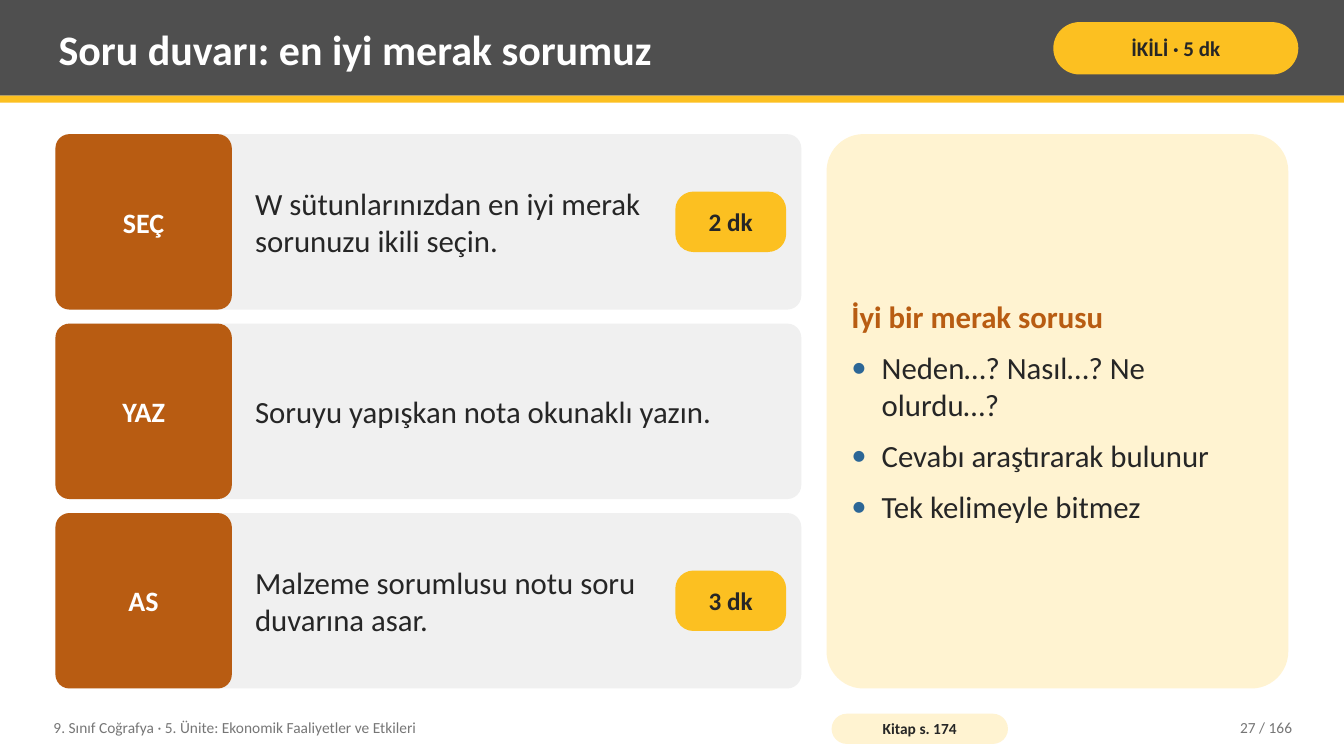
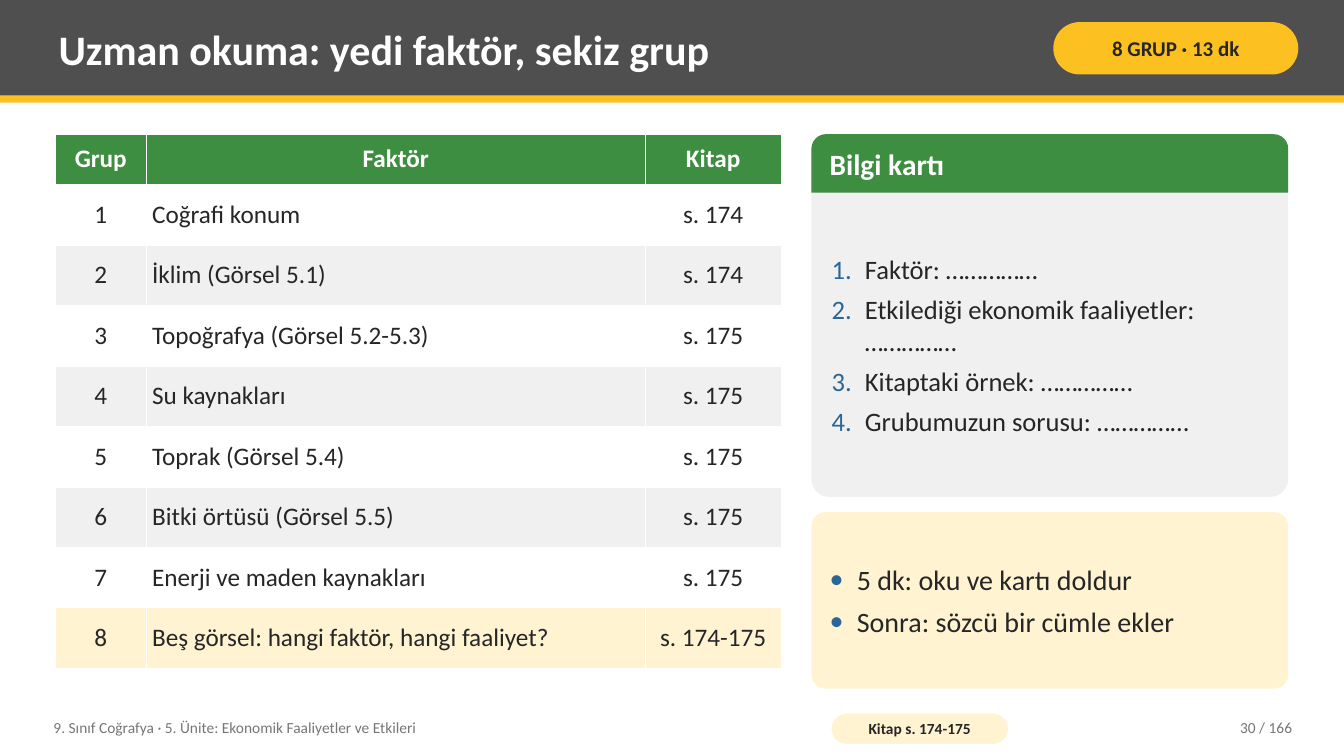
from lxml.etree import SubElement
from pptx import Presentation
from pptx.dml.color import RGBColor
from pptx.enum.shapes import MSO_SHAPE as Shape
from pptx.enum.text import MSO_ANCHOR as Anchor, PP_ALIGN as Align
from pptx.oxml.ns import qn
from pptx.util import Pt

COLORS = {
    "white": "FFFFFF", "ink": "262626", "muted": "767676", "band": "4F4F4F",
    "yellow": "FCC021", "cream": "FFF3D1", "gray": "F0F0F0",
    "orange": "B85C12", "green": "3E8E41", "blue": "2C6696",
}
FONT = "Calibri"
WIDTH, HEIGHT = 960, 540
LEFT, RIGHT = 39.6, 920.2
TOP, BODY = 95.8, 396
GAP = 10
COURSE = "9. Sınıf Coğrafya · 5. Ünite: Ekonomik Faaliyetler ve Etkileri"
PAGE_COUNT = 166
TEXT_INSETS = (5.8, 2.9)
CARD_INSETS = (10.1, 5.8)


class LessonDeck:
    def __init__(self):
        self.deck = Presentation()
        self.deck.slide_width, self.deck.slide_height = Pt(WIDTH), Pt(HEIGHT)
        self.page = None

    def color(self, name):
        return RGBColor.from_string(COLORS[name])

    def start_page(self, title, activity, source, number):
        """Add a slide with its title band, activity pill and footer."""
        self.page = self.deck.slides.add_slide(self.deck.slide_layouts[6])
        self.block(0, 0, WIDTH, 68.4, "band", kind=Shape.RECTANGLE)
        self.block(0, 68.4, WIDTH, 5, "yellow", kind=Shape.RECTANGLE)
        self.text(36, 5, 702, 59, title, size=30, color="white", bold=True)
        self.label(752.4, 15.8, 175, 37.4, "yellow", 0.5, activity, 15)
        self.text(32.4, 506.9, 547.2, 25.9, COURSE, size=11, color="muted")
        self.label(594, 509.8, 126, 21.6, "cream", 0.5, source, 11)
        self.text(813.6, 506.9, 115.2, 25.9, f"{number} / {PAGE_COUNT}",
                  size=11, color="muted", align=Align.RIGHT)

    def block(self, left, top, width, height, fill, *adjustments,
              kind=Shape.ROUNDED_RECTANGLE):
        shape = self.page.shapes.add_shape(
            kind, Pt(left), Pt(top), Pt(width), Pt(height))
        shape.shadow.inherit = False
        shape.fill.solid()
        shape.fill.fore_color.rgb = self.color(fill)
        shape.line.fill.background()
        for index, value in enumerate(adjustments):
            shape.adjustments[index] = value
        return shape

    def label(self, left, top, width, height, fill, rounding, text, size, color="ink"):
        """Add a rounded block with one bold centred line."""
        shape = self.block(left, top, width, height, fill, rounding)
        self.paragraph(self.frame(shape, (2.9, 0)), text, size=size,
                       color=color, bold=True, align=Align.CENTER)

    def box(self, left, top, width, height):
        return self.page.shapes.add_textbox(Pt(left), Pt(top), Pt(width), Pt(height))

    def text(self, left, top, width, height, text, **style):
        box = self.box(left, top, width, height)
        self.paragraph(self.frame(box, TEXT_INSETS), text, **style)

    def frame(self, shape, insets):
        frame = shape.text_frame
        frame.word_wrap = True
        frame.vertical_anchor = Anchor.MIDDLE
        frame.margin_left = frame.margin_right = Pt(insets[0])
        frame.margin_top = frame.margin_bottom = Pt(insets[1])
        return frame

    def paragraph(self, frame, text, size, color="ink", bold=False, align=Align.LEFT):
        """Fill the empty first paragraph, or append another one."""
        para = frame.paragraphs[0]
        if para.runs:
            para = frame.add_paragraph()
        self.style(para, text, size, color, bold, align)
        return para

    def style(self, para, text, size, color, bold, align):
        para.alignment = align
        font = para.font
        font.name, font.size, font.bold = FONT, Pt(size), bold
        font.color.rgb = self.color(color)
        span = para.add_run()
        span.text = text
        return span

    def items(self, frame, texts, size, indent, gap, numbered=False):
        """Append a list with blue bullets or bold blue numbers."""
        for text in texts:
            first = not frame.paragraphs[0].runs
            para = frame.paragraphs[0] if first else frame.add_paragraph()
            if not first:
                para.space_before = Pt(gap)
            props = para._p.get_or_add_pPr()
            props.set("marL", str(Pt(indent)))
            props.set("indent", str(-Pt(indent)))
            marker_color = SubElement(props, qn("a:buClr"))
            SubElement(marker_color, qn("a:srgbClr"), val=COLORS["blue"])
            SubElement(props, qn("a:buFont"), typeface=FONT)
            if numbered:
                SubElement(props, qn("a:buAutoNum"), type="arabicPeriod")
            else:
                SubElement(props, qn("a:buChar"), char="•")
            span = self.style(para, text, size, "ink", True, Align.LEFT)
            span.font.bold = False

    def step(self, top, height, name, task, minutes):
        self.block(LEFT, top, 532.8, height, "gray", 0.08)
        self.label(LEFT, top, 126, height, "orange", 0.08, name, 20, "white")
        self.text(176.4, top, 291.6 if minutes else 388.8, height, task, size=22)
        if minutes:
            self.label(482.4, top + (height - 43.2) / 2, 79.2, 43.2,
                       "yellow", 0.3, minutes, 18)

    def table(self, left, top, widths, heights, rows):
        """Add a table with a green header, banded rows and a cream last row."""
        table = self.page.shapes.add_table(
            len(rows), len(widths), Pt(left), Pt(top),
            Pt(sum(widths)), Pt(sum(heights))).table
        table.horz_banding = False
        for column, width in zip(table.columns, widths):
            column.width = Pt(width)
        for index, (row, height, texts) in enumerate(zip(table.rows, heights, rows)):
            row.height = Pt(height)
            header = index == 0
            if header:
                fill = "green"
            elif index == len(rows) - 1:
                fill = "cream"
            else:
                fill = "white" if index % 2 else "gray"
            for column, (cell, text) in enumerate(zip(row.cells, texts)):
                centred = header or column != 1
                self.cell(cell, text, fill, header,
                          Align.CENTER if centred else Align.LEFT)

    def cell(self, cell, text, fill, header, align):
        props = cell._tc.get_or_add_tcPr()
        for side in ("a:lnL", "a:lnR", "a:lnT", "a:lnB"):
            line = SubElement(props, qn(side), w=str(Pt(0.96)))
            paint = SubElement(line, qn("a:solidFill"))
            SubElement(paint, qn("a:srgbClr"), val=COLORS["white"])
        cell.fill.solid()
        cell.fill.fore_color.rgb = self.color(fill)
        cell.vertical_anchor = Anchor.MIDDLE
        cell.margin_left = cell.margin_right = Pt(4.3)
        cell.margin_top = cell.margin_bottom = Pt(3.6)
        self.paragraph(cell.text_frame, text, size=18, bold=header, align=align,
                       color="white" if header else "ink")


def add_question_wall(lesson):
    lesson.start_page("Soru duvarı: en iyi merak sorumuz", "İKİLİ · 5 dk",
                      "Kitap s. 174", 27)
    steps = [
        ("SEÇ", "W sütunlarınızdan en iyi merak sorunuzu ikili seçin.", "2 dk"),
        ("YAZ", "Soruyu yapışkan nota okunaklı yazın.", None),
        ("AS", "Malzeme sorumlusu notu soru duvarına asar.", "3 dk"),
    ]
    height = (BODY - GAP * (len(steps) - 1)) / len(steps)
    for index, step in enumerate(steps):
        lesson.step(TOP + index * (height + GAP), height, *step)

    card_left = 590.4
    card = lesson.block(card_left, TOP, RIGHT - card_left, BODY, "cream", 0.08)
    frame = lesson.frame(card, CARD_INSETS)
    lesson.paragraph(frame, "İyi bir merak sorusu", size=22, color="orange", bold=True)
    lesson.items(frame, ["Neden…? Nasıl…? Ne olurdu…?", "Cevabı araştırarak bulunur",
                         "Tek kelimeyle bitmez"], size=22, indent=21.6, gap=10)


def add_expert_reading(lesson):
    lesson.start_page("Uzman okuma: yedi faktör, sekiz grup", "8 GRUP · 13 dk",
                      "Kitap s. 174-175", 30)
    factors = [
        ("Coğrafi konum", "s. 174"),
        ("İklim (Görsel 5.1)", "s. 174"),
        ("Topoğrafya (Görsel 5.2-5.3)", "s. 175"),
        ("Su kaynakları", "s. 175"),
        ("Toprak (Görsel 5.4)", "s. 175"),
        ("Bitki örtüsü (Görsel 5.5)", "s. 175"),
        ("Enerji ve maden kaynakları", "s. 175"),
        ("Beş görsel: hangi faktör, hangi faaliyet?", "s. 174-175"),
    ]
    rows = [("Grup", "Faktör", "Kitap")]
    rows += [(str(group), *factor) for group, factor in enumerate(factors, 1)]
    lesson.table(LEFT, TOP, [64.8, 356.4, 97.2], [36] + [43.2] * len(factors), rows)

    left = 579.6
    width = RIGHT - left
    card_height, header_height = 259.2, 41.8
    lesson.block(left, TOP, width, card_height, "gray", 0.05)
    lesson.block(left, TOP, width, header_height, "green", 0.25, 0,
                 kind=Shape.ROUND_2_SAME_RECTANGLE)
    lesson.text(left + 7.2, TOP, width - 14.4, header_height, "Bilgi kartı",
                size=21, color="white", bold=True)
    blank = "……………"
    box = lesson.box(left + 8.6, TOP + 47.5, width - 17.2, 206)
    lesson.items(lesson.frame(box, TEXT_INSETS),
                 [f"{prompt}: {blank}" for prompt in (
                     "Faktör", "Etkilediği ekonomik faaliyetler",
                     "Kitaptaki örnek", "Grubumuzun sorusu")],
                 size=19, indent=23.8, gap=6, numbered=True)

    tip_top = TOP + card_height + 10.8
    tip = lesson.block(left, tip_top, width, TOP + BODY - tip_top, "cream", 0.08)
    lesson.items(lesson.frame(tip, CARD_INSETS),
                 ["5 dk: oku ve kartı doldur", "Sonra: sözcü bir cümle ekler"],
                 size=20, indent=19.4, gap=6)


def main():
    lesson = LessonDeck()
    add_question_wall(lesson)
    add_expert_reading(lesson)
    lesson.deck.save("out.pptx")


if __name__ == "__main__":
    main()
